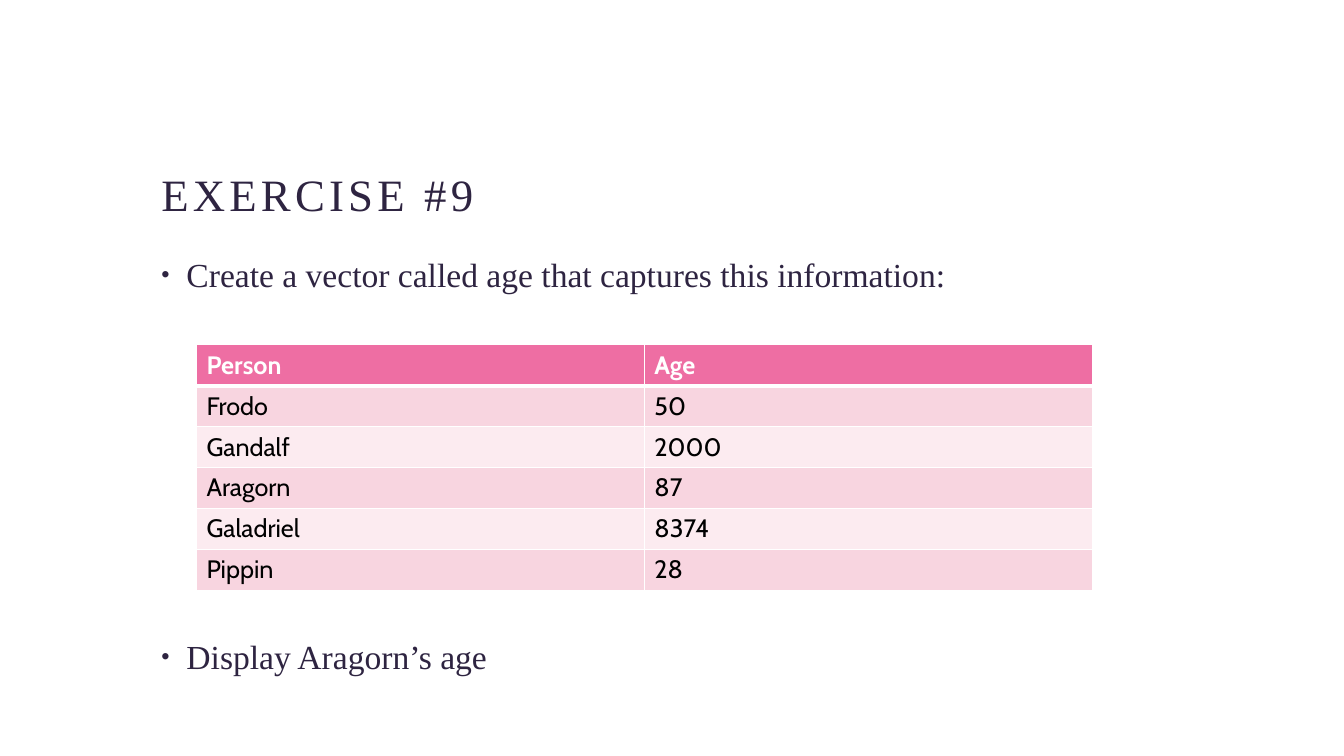
import pptx
import pptx.util
import pptx.dml.color
import pptx.enum.text
import pptx.oxml
from pptx.oxml.ns import nsdecls

Cm, Pt = pptx.util.Cm, pptx.util.Pt

# Content
TITLE = "EXERCISE #9"
TASKS = [  # text, points of space before
    ("Create a vector called age that captures this information:", 10),
    ("Display Aragorn’s age", 244),  # leaves room for the table
]
AGES = [
    ("Person", "Age"),
    ("Frodo", "50"),
    ("Gandalf", "2000"),
    ("Aragorn", "87"),
    ("Galadriel", "8374"),
    ("Pippin", "28"),
]
COLORS = {"ink": "2E2441", "header": "EE6EA3", "odd": "F8D5E0",
          "even": "FCEBF0", "white": "FFFFFF", "black": "000000"}
TEXT_FONT, TABLE_FONT = "Times New Roman", "Cabin"


def rgb(name):
    return pptx.dml.color.RGBColor.from_string(COLORS[name])


def set_font(para, face, size, color, bold=False):
    font = para.font
    font.name, font.size, font.bold = face, Pt(size), bold
    font.color.rgb = rgb(color)


def place(shape, left, top, width, height):
    shape.left, shape.top = Cm(left), Cm(top)
    shape.width, shape.height = Cm(width), Cm(height)


def add_bullet(para):
    props = para._p.get_or_add_pPr()
    props.set("marL", str(Cm(0.635)))
    props.set("indent", str(-Cm(0.635)))
    for tag in ('buSzPct val="70000"', 'buFont typeface="Arial"', 'buChar char="•"'):
        props.append(pptx.oxml.parse_xml(f'<a:{tag} {nsdecls("a")}/>'))


def add_borders(cell, bottom):
    props = cell._tc.get_or_add_tcPr()
    for side, points in (("L", 1), ("R", 1), ("T", 1), ("B", bottom)):
        props.append(pptx.oxml.parse_xml(
            f'<a:ln{side} {nsdecls("a")} w="{Pt(points)}"><a:solidFill>'
            f'<a:srgbClr val="{COLORS["white"]}"/></a:solidFill></a:ln{side}>'))


def build():
    deck = pptx.Presentation()
    deck.slide_width, deck.slide_height = Cm(33.87), Cm(19.05)
    page = deck.slides.add_slide(deck.slide_layouts[1])

    # Title
    title = page.shapes.title
    place(title, 3.81, 1.9, 26.37, 3.81)
    title.text_frame.text = TITLE
    title.text_frame.vertical_anchor = pptx.enum.text.MSO_ANCHOR.BOTTOM
    title.text_frame.auto_size = pptx.enum.text.MSO_AUTO_SIZE.NONE
    para = title.text_frame.paragraphs[0]
    para.alignment = pptx.enum.text.PP_ALIGN.LEFT
    para.line_spacing = 0.9
    set_font(para, TEXT_FONT, 32, "ink")
    para.runs[0]._r.get_or_add_rPr().set("spc", "300")

    # Task list
    body = page.placeholders[1]
    place(body, 3.81, 6.27, 26.37, 12.27)
    frame = body.text_frame
    frame.auto_size = pptx.enum.text.MSO_AUTO_SIZE.NONE
    frame.text = "\n".join(text for text, _ in TASKS)
    for para, (_, gap) in zip(frame.paragraphs, TASKS):
        para.space_before = Pt(gap)
        add_bullet(para)
        set_font(para, TEXT_FONT, 24, "ink")

    # Age table
    row_height = 1.03
    table = page.shapes.add_table(
        len(AGES), len(AGES[0]), Cm(4.95), Cm(8.69),
        Cm(22.58), Cm(row_height * len(AGES))).table
    for r, record in enumerate(AGES):
        header = r == 0
        fill = "header" if header else "odd" if r % 2 else "even"
        for c, text in enumerate(record):
            cell = table.cell(r, c)
            cell.text = text
            add_borders(cell, 3 if header else 1)
            cell.fill.solid()
            cell.fill.fore_color.rgb = rgb(fill)
            set_font(cell.text_frame.paragraphs[0], TABLE_FONT, 18,
                     "white" if header else "black", header)

    deck.save("out.pptx")


if __name__ == "__main__":
    build()
